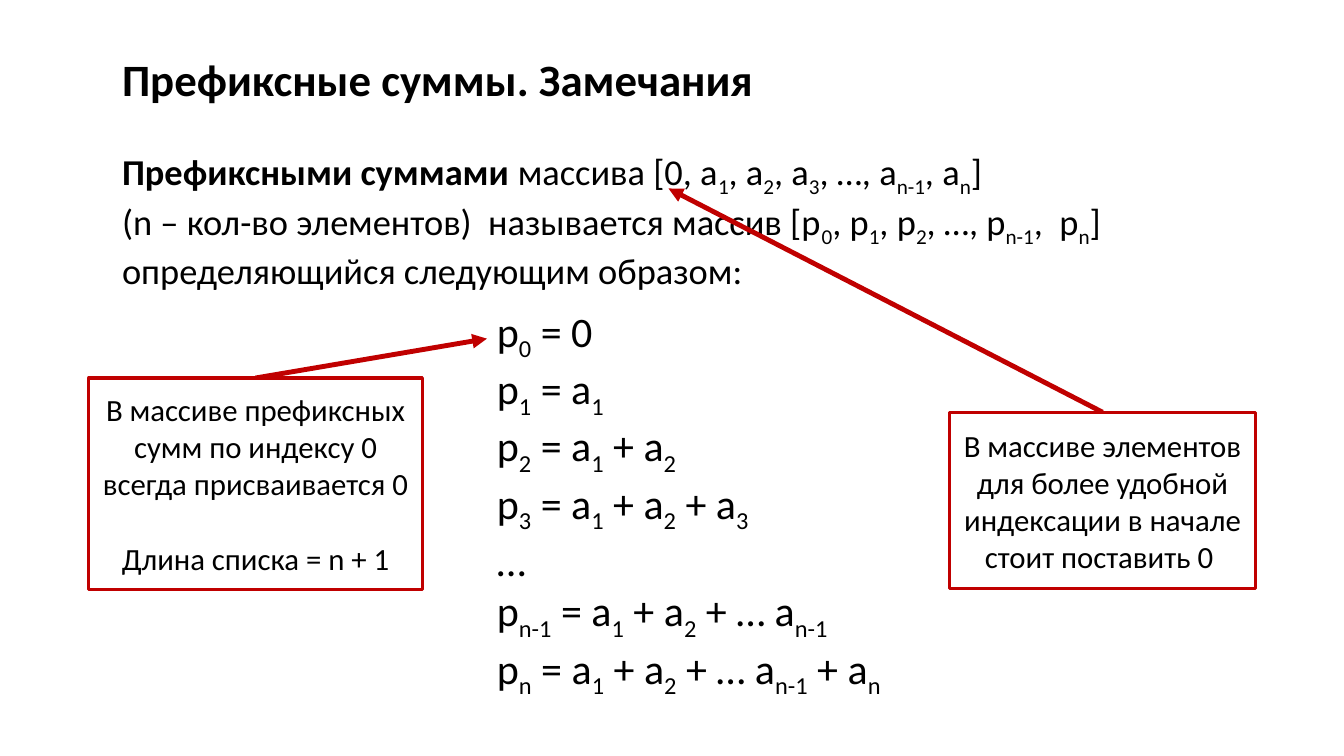
from dataclasses import dataclass

from pptx import Presentation
from pptx.dml.color import RGBColor
from pptx.enum.shapes import MSO_CONNECTOR, MSO_SHAPE
from pptx.enum.text import MSO_ANCHOR, MSO_AUTO_SIZE, PP_ALIGN
from pptx.oxml.ns import qn
from pptx.util import Inches, Pt
from lxml.etree import SubElement

WIDTH, HEIGHT = Inches(13.33), Inches(7.5)


@dataclass(frozen=True)
class Theme:
    font: str = "Calibri"
    text: RGBColor = RGBColor(0, 0, 0)
    paper: RGBColor = RGBColor(255, 255, 255)
    accent: RGBColor = RGBColor(0xC0, 0, 0)
    title: int = 32
    body: int = 26
    formula: int = 30
    callout: int = 22
    border: float = 2.25
    arrow: float = 3.5


THEME = Theme()

DEFINITION = [
    "**Префиксными суммами** массива [0, a|1|, a|2|, a|3|, …, a|n-1|, a|n|]",
    "(n – кол-во элементов)  называется массив [p|0|, p|1|, p|2|, …, p|n-1|,  p|n|]"
    " определяющийся следующим образом:",
]
FORMULAS = [
    "p|0| = 0",
    "p|1| = a|1|",
    "p|2| = a|1| + a|2|",
    "p|3| = a|1| + a|2| + a|3|",
    "…",
    "p|n-1| = a|1| + a|2| + … a|n-1|",
    "p|n| = a|1| + a|2| + … a|n-1| + a|n|",
]
ELEMENTS_NOTE = ["В массиве элементов для более удобной индексации в начале стоит поставить 0 "]
PREFIX_NOTE = [
    "В массиве префиксных сумм по индексу 0 всегда присваивается 0",
    "Длина списка = n + 1",
]


def area(left, top, width, height):
    """Turn percentages of the slide into lengths."""
    return (
        int(WIDTH * left / 100), int(HEIGHT * top / 100),
        int(WIDTH * width / 100), int(HEIGHT * height / 100),
    )


def add_runs(paragraph, markup, size):
    """Write **bold** and |subscript| pieces as separate runs."""
    for bold_index, section in enumerate(markup.split("**")):
        for index, piece in enumerate(section.split("|")):
            if not piece:
                continue
            run = paragraph.add_run()
            run.text = piece
            font = run.font
            font.name, font.size, font.bold = THEME.font, Pt(size), bold_index % 2 == 1
            font.color.rgb = THEME.text
            if index % 2:
                font._element.set("baseline", "-25000")


def fill_text(shape, lines, size, align=PP_ALIGN.LEFT, anchor=MSO_ANCHOR.TOP, gap=0):
    frame = shape.text_frame
    frame.word_wrap = True
    frame.auto_size = MSO_AUTO_SIZE.NONE
    frame.vertical_anchor = anchor
    for index, markup in enumerate(lines):
        paragraph = frame.add_paragraph() if index else frame.paragraphs[0]
        paragraph.alignment = align
        paragraph.line_spacing = 1.0
        paragraph.space_before = Pt(gap if index else 0)
        add_runs(paragraph, markup, size)


def fill_placeholder(placeholder, place, lines, size):
    placeholder.left, placeholder.top, placeholder.width, placeholder.height = area(*place)
    fill_text(placeholder, lines, size)
    for paragraph in placeholder.text_frame.paragraphs:
        properties = paragraph._p.get_or_add_pPr()
        properties.set("marL", "0")
        properties.set("indent", "0")
        SubElement(properties, qn("a:buNone"))


def add_callout(slide, place, lines, target):
    """Add a framed note whose arrow runs from its top side to the target."""
    box = slide.shapes.add_shape(MSO_SHAPE.RECTANGLE, *area(*place))
    box.shadow.inherit = False
    box.fill.solid()
    box.fill.fore_color.rgb = THEME.paper
    box.line.color.rgb = THEME.accent
    box.line.width = Pt(THEME.border)
    fill_text(box, lines, THEME.callout, PP_ALIGN.CENTER, MSO_ANCHOR.MIDDLE,
              gap=THEME.callout * 1.22)

    end_x, end_y = area(*target, 0, 0)[:2]
    arrow = slide.shapes.add_connector(MSO_CONNECTOR.STRAIGHT, 0, 0, end_x, end_y)
    arrow.begin_connect(box, 0)
    arrow.line.color.rgb = THEME.accent
    arrow.line.width = Pt(THEME.arrow)
    SubElement(arrow.line._get_or_add_ln(), qn("a:tailEnd"), type="triangle")
    SubElement(arrow._element.spPr, qn("a:effectLst"))
    box._element.addprevious(arrow._element)


def main():
    presentation = Presentation()
    presentation.slide_width, presentation.slide_height = WIDTH, HEIGHT
    slide = presentation.slides.add_slide(presentation.slide_layouts[1])

    fill_placeholder(slide.shapes.title, (8.33, 6.13, 83.5, 8.53),
                     ["**Префиксные суммы. Замечания**"], THEME.title)
    fill_placeholder(slide.placeholders[1], (8.33, 19.07, 85.45, 18.8),
                     DEFINITION, THEME.body)
    formulas = slide.shapes.add_textbox(*area(36.23, 39.73, 32.26, 48.53))
    fill_text(formulas, FORMULAS, THEME.formula)
    add_callout(slide, (70.67, 54.53, 22.73, 23.33), ELEMENTS_NOTE, (49.74, 24.93))
    add_callout(slide, (6.6, 50, 24.83, 28), PREFIX_NOTE, (36.23, 44.8))

    presentation.save("out.pptx")


if __name__ == "__main__":
    main()
